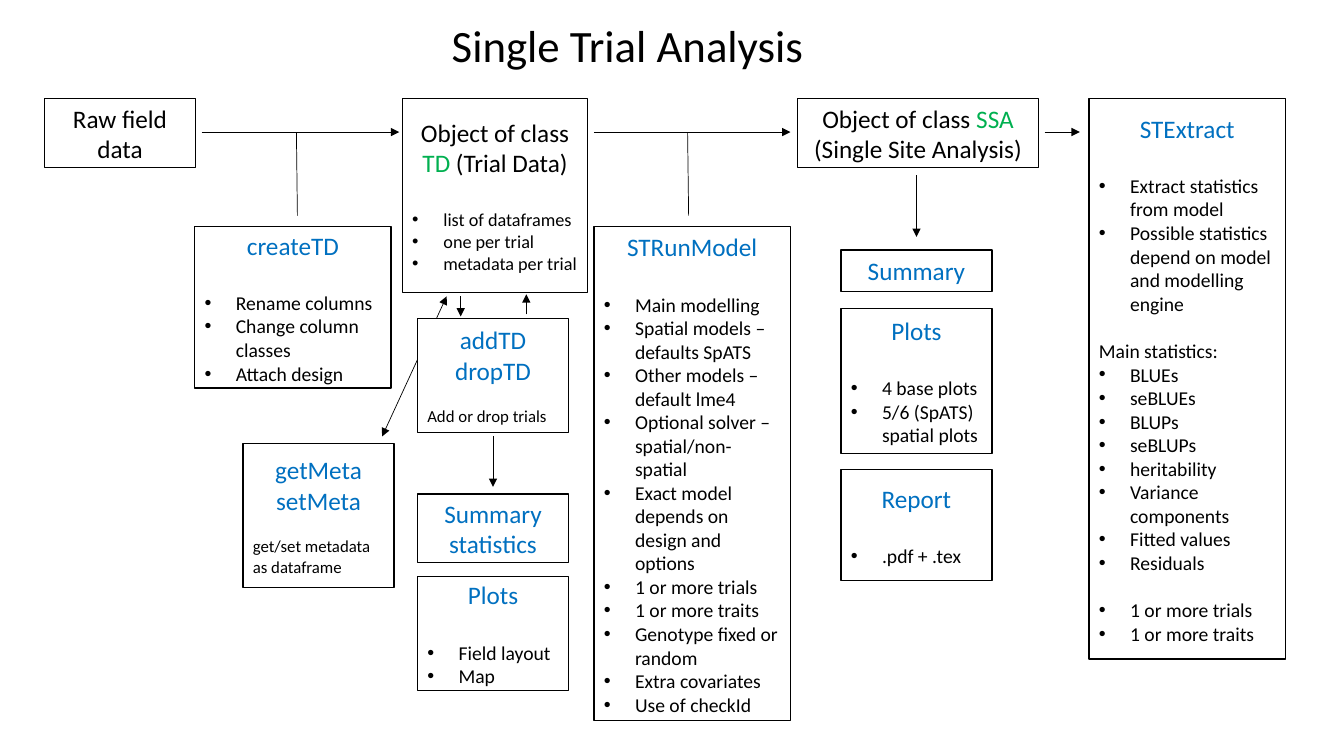
from lxml import etree
from pptx import Presentation
from pptx.dml.color import RGBColor
from pptx.enum.shapes import MSO_CONNECTOR, MSO_SHAPE
from pptx.enum.text import MSO_ANCHOR, MSO_AUTO_SIZE, PP_ALIGN
from pptx.oxml.ns import qn
from pptx.util import Inches, Pt

STRAIGHT = MSO_CONNECTOR.STRAIGHT
RECTANGLE = MSO_SHAPE.RECTANGLE
MIDDLE = MSO_ANCHOR.MIDDLE
GROW = MSO_AUTO_SIZE.SHAPE_TO_FIT_TEXT
CENTER, LEFT = PP_ALIGN.CENTER, PP_ALIGN.LEFT

COLORS = {"black": "000000", "white": "FFFFFF", "blue": "0070C0", "green": "00B050"}
FONT = "Calibri"
HEADING_SIZE = 18
HEADING_GAP = 22
INDENT = Inches(0.31)
TOP = 0.98
FLOW_Y = 1.31
NARROW, WIDE = 1.5, 1.95
TD_X, SSA_X = 4.14, 8.34


def color(name):
    return RGBColor.from_string(COLORS[name])


def apply_format(target, values):
    for name, value in values.items():
        setattr(target, name, value)


def add_spans(para, spans, size):
    """Fill a paragraph with (text, colour name) pairs."""
    for text, color_name in spans:
        span = para.add_run()
        span.text = text
        apply_format(span.font, {"name": FONT, "size": Pt(size)})
        span.font.color.rgb = color(color_name)


def add_bullet(para):
    properties = para._p.get_or_add_pPr()
    properties.set("marL", str(INDENT))
    properties.set("indent", str(-INDENT))
    etree.SubElement(properties, qn("a:buFont")).set("typeface", "Arial")
    etree.SubElement(properties, qn("a:buChar")).set("char", "•")


def add_box(slide, at, headings, items=(), size=14, bullets=True, gap=HEADING_GAP, breaks=None):
    """Draw a box of headings and items; breaks maps an item to (bulleted, space before)."""
    box = slide.shapes.add_shape(RECTANGLE, *map(Inches, at))
    box.shadow.inherit = False
    box.fill.solid()
    box.fill.fore_color.rgb = color("white")
    box.line.color.rgb = color("black")
    box.line.width = Pt(1)
    frame = box.text_frame
    apply_format(frame, {"word_wrap": True, "vertical_anchor": MIDDLE})
    for index, spans in enumerate(headings):
        para = frame.add_paragraph() if index else frame.paragraphs[0]
        para.alignment = CENTER
        add_spans(para, spans, HEADING_SIZE)
    for index, item in enumerate(items):
        para = frame.add_paragraph()
        para.alignment = LEFT
        bulleted, space = (breaks or {}).get(index, (bullets, 0 if index else gap))
        if bulleted:
            add_bullet(para)
        para.space_before = Pt(space)
        add_spans(para, [(item, "black")], size)


def add_function_box(slide, at, names, items=(), **options):
    add_box(slide, at, [[(name, "blue")] for name in names], items, **options)


def add_line(slide, start, end, head=False, tail=True):
    """Draw a line with optional arrowheads at its start (head) and end (tail)."""
    line = slide.shapes.add_connector(STRAIGHT, *map(Inches, start + end))
    line.line.color.rgb = color("black")
    line.line.width = Pt(0.5)
    outline = line.line._get_or_add_ln()
    for tag, shown in (("a:headEnd", head), ("a:tailEnd", tail)):
        if shown:
            etree.SubElement(outline, qn(tag)).set("type", "triangle")
    etree.SubElement(line._element.spPr, qn("a:effectLst"))


def add_title(slide, text):
    box = slide.shapes.add_textbox(Inches(1.3), Inches(0.13), Inches(9.85), Inches(0.64))
    apply_format(box.text_frame, {"word_wrap": True, "auto_size": GROW})
    para = box.text_frame.paragraphs[0]
    para.alignment = CENTER
    add_spans(para, [(text, "black")], 32)


def add_flow(slide):
    """Draw the row of data objects and the functions that join them."""
    add_box(slide, (0.44, TOP, NARROW, 0.68), [[("Raw field data", "black")]])
    add_box(slide, (3.99, TOP, 1.84, 1.92),
            [[("Object of class ", "black"), ("TD", "green"), (" (Trial Data)", "black")]],
            ["list of dataframes", "one per trial", "metadata per trial"], size=13)
    add_box(slide, (7.91, TOP, 2.39, 0.68),
            [[("Object of class ", "black"), ("SSA", "green"),
              (" (Single Site Analysis)", "black")]])
    for left, right in ((2, 3.96), (5.89, 7.84), (10.36, 10.71)):
        add_line(slide, (left, FLOW_Y), (right, FLOW_Y))
    for x in (2.94, 6.82):
        add_line(slide, (x, FLOW_Y), (x + 0.01, 2.14), tail=False)
    add_function_box(slide, (1.93, 2.25, WIDE, 1.6), ["createTD"],
                     ["Rename columns", "Change column classes", "Attach design"])
    add_function_box(slide, (5.89, 2.25, WIDE, 4.9), ["STRunModel"], [
        "Main modelling", "Spatial models – defaults SpATS", "Other models – default lme4",
        "Optional solver – spatial/non-spatial", "Exact model depends on design and options",
        "1 or more trials", "1 or more traits", "Genotype fixed or random",
        "Extra covariates", "Use of checkId"])
    add_function_box(slide, (10.8, TOP, WIDE, 5.56), ["STExtract"], [
        "Extract statistics from model",
        "Possible statistics depend on model and modelling engine",
        "Main statistics:", "BLUEs", "seBLUEs", "BLUPs", "seBLUPs", "heritability",
        "Variance components", "Fitted values", "Residuals",
        "1 or more trials", "1 or more traits"],
        breaks={2: (False, 17), 11: (True, 17)})


def add_trial_data_functions(slide):
    note = {"size": 12, "bullets": False, "gap": 15}
    add_line(slide, (4.43, 2.94), (3.79, 4.33), head=True)
    add_function_box(slide, (TD_X, 3.16, NARROW, 1.13), ["addTD", "dropTD"],
                     ["Add or drop trials"], **note)
    add_function_box(slide, (2.41, 4.4, NARROW, 1.43), ["getMeta", "setMeta"],
                     ["get/set metadata as dataframe"], **note)
    add_function_box(slide, (TD_X, 4.9, NARROW, 0.68), ["Summary statistics"])
    add_function_box(slide, (TD_X, 5.72, NARROW, 1.13), ["Plots"], ["Field layout", "Map"])
    add_line(slide, (4.57, 2.94), (4.57, 3.14))
    add_line(slide, (5.22, 3.12), (5.22, 2.92))
    add_line(slide, (4.89, 4.33), (4.89, 4.83))


def add_analysis_functions(slide):
    add_line(slide, (9.09, 1.74), (9.09, 2.35))
    add_function_box(slide, (SSA_X, 2.48, NARROW, 0.41), ["Summary"])
    add_function_box(slide, (SSA_X, 3.06, NARROW, 1.44), ["Plots"],
                     ["4 base plots", "5/6 (SpATS) spatial plots"])
    add_function_box(slide, (SSA_X, 4.66, NARROW, 1.1), ["Report"], [".pdf + .tex"])


def main():
    deck = Presentation()
    apply_format(deck, {"slide_width": Inches(13.33), "slide_height": Inches(7.5)})
    slide = deck.slides.add_slide(deck.slide_layouts[6])
    add_title(slide, "Single Trial Analysis")
    add_trial_data_functions(slide)
    add_flow(slide)
    add_analysis_functions(slide)
    deck.save("out.pptx")


if __name__ == "__main__":
    main()
